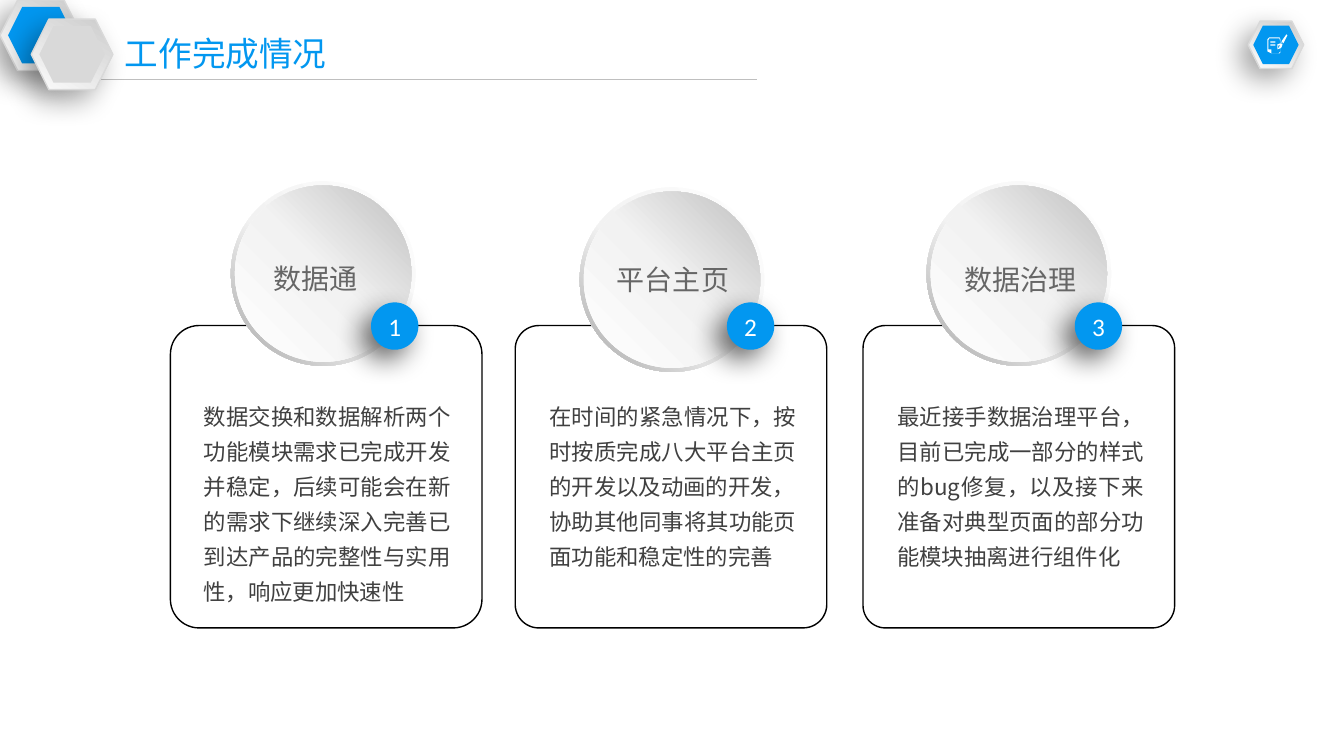
from dataclasses import dataclass
from typing import Any, Optional

from lxml import etree
from pptx import Presentation
from pptx.dml.color import RGBColor
from pptx.enum.shapes import MSO_CONNECTOR, MSO_SHAPE
from pptx.enum.text import MSO_ANCHOR, MSO_AUTO_SIZE, PP_ALIGN
from pptx.oxml.ns import qn
from pptx.util import Inches, Pt

HEXAGON, RECT, ROUNDED = MSO_SHAPE.HEXAGON, MSO_SHAPE.RECTANGLE, MSO_SHAPE.ROUNDED_RECTANGLE
OVAL, DONUT = MSO_SHAPE.OVAL, MSO_SHAPE.DONUT
STRAIGHT = MSO_CONNECTOR.STRAIGHT
CENTER, JUSTIFY, MIDDLE = PP_ALIGN.CENTER, PP_ALIGN.JUSTIFY, MSO_ANCHOR.MIDDLE
GROW = MSO_AUTO_SIZE.SHAPE_TO_FIT_TEXT

BLUE, WHITE, BLACK, SILVER = "0297F0", "FFFFFF", "000000", "D9D9D9"
CJK, LATIN = "Noto Sans CJK SC", "Calibri"


@dataclass(frozen=True)
class Gradient:
    stops: tuple[tuple[int, str], ...]
    angle: int  # clockwise, in degrees


@dataclass(frozen=True)
class Shadow:
    opacity: int
    direction: int
    blur: int = 20
    distance: int = 10


@dataclass(frozen=True)
class Hexagon:
    left: float
    top: float
    width: float
    height: float
    inset: float
    fill: str


@dataclass(frozen=True)
class Card:
    left: float
    corner: float
    disc: tuple[float, float]
    badge_left: float
    label_box: tuple[float, float, float, float]
    label: str
    text_left: float
    text_height: float
    paragraphs: tuple[str, ...]


HEX_RIM = Gradient(((0, "CCCCCC"), (100, "FCFCFC")), 120)
DISC_RIM = Gradient(((0, WHITE), (55, "F2F2F2"), (100, "A6A6A6")), 135)
DISC_FACE = Gradient(((0, WHITE), (51, "F2F2F2"), (100, "BFBFBF")), 315)
HEX_SHADOW, BADGE_SHADOW = Shadow(34, 136), Shadow(60, 135)

CORNER_HEXAGONS = (Hexagon(0, 0, 0.81, 0.7, 0.08, BLUE),
                   Hexagon(0.31, 0.19, 0.81, 0.7, 0.08, SILVER))
ICON_HEXAGON = Hexagon(12.38, 0.21, 0.55, 0.47, 0.05, BLUE)

# Note and pen icon outlines
ICON_OUTLINES = (
    ((12.76, 0.34), (12.71, 0.41), (12.73, 0.43), (12.77, 0.35)),
    ((12.7, 0.42), (12.71, 0.43), (12.72, 0.43), (12.71, 0.42)),
    ((12.7, 0.43), (12.67, 0.44), (12.67, 0.49), (12.68, 0.45), (12.7, 0.45),
     (12.69, 0.46), (12.67, 0.49), (12.7, 0.48), (12.71, 0.47), (12.72, 0.44)),
    ((12.7, 0.51), (12.68, 0.53), (12.61, 0.53), (12.61, 0.49), (12.58, 0.49),
     (12.58, 0.4), (12.59, 0.38), (12.69, 0.38), (12.7, 0.42), (12.7, 0.39),
     (12.69, 0.37), (12.59, 0.37), (12.57, 0.39), (12.57, 0.51), (12.61, 0.53),
     (12.69, 0.53), (12.7, 0.52), (12.7, 0.48)),
)
NOTE_LINES = (0.41, 0.42, 0.44, 0.45)

CARDS = (
    Card(1.69, 0.095, (2.29, 1.8), 3.68, (2.61, 2.55, 1.04, 0.44), "数据通", 2.02, 2.07,
         ("数据交换和数据解析两个功能模块需求已完成开发并稳定，后续可能会在新的需求下"
          "继续深入完善已到达产品的完整性与实用性，响应更加快速性",)),
    Card(5.11, 0.078, (5.75, 1.86), 7.21, (6.02, 2.56, 1.32, 0.44), "平台主页", 5.45, 1.72,
         ("在时间的紧急情况下，按时按质完成八大平台主页的开发以及动画的开发，",
          "协助其他同事将其功能页面功能和稳定性的完善")),
    Card(8.56, 0.074, (9.19, 1.8), 10.66, (9.47, 2.56, 1.37, 0.44), "数据治理", 8.9, 1.72,
         ("最近接手数据治理平台，目前已完成一部分的样式的bug修复，以及接下来准备对"
          "典型页面的部分功能模块抽离进行组件化",)),
)


def color(value: str) -> RGBColor:
    return RGBColor.from_string(value)


def child(parent: Any, tag: str, **values: Any) -> Any:
    return etree.SubElement(parent, qn(tag), {key: str(value) for key, value in values.items()})


def tint(parent: Any, value: str) -> Any:
    return child(parent, "a:srgbClr", val=value)


def paint(shape: Any, fill: Any = None, line: Optional[str] = None,
          shadow: Optional[Shadow] = None) -> None:
    """Set fill, outline and shadow."""
    shape.shadow.inherit = False
    if isinstance(fill, Gradient):
        shape.fill.gradient()
        shape.fill.gradient_angle = 360 - fill.angle
        stops = shape.element.spPr.find(".//" + qn("a:gsLst"))
        for old in list(stops):
            stops.remove(old)
        for position, value in fill.stops:
            tint(child(stops, "a:gs", pos=position * 1000), value)
    elif fill:
        shape.fill.solid()
        shape.fill.fore_color.rgb = color(fill)
    else:
        shape.fill.background()
    if line:
        shape.line.color.rgb = color(line)
        shape.line.width = Pt(1)
    else:
        shape.line.fill.background()
    if shadow:
        outer = child(shape.element.spPr.find(qn("a:effectLst")), "a:outerShdw",
                      blurRad=Pt(shadow.blur), dist=Pt(shadow.distance),
                      dir=shadow.direction * 60000, algn="ctr", rotWithShape=0)
        child(tint(outer, BLACK), "a:alpha", val=shadow.opacity * 1000)


def add_shape(shapes: Any, kind: Any, box: tuple[float, ...], adjust: Optional[float] = None,
              **style: Any) -> Any:
    shape = shapes.add_shape(kind, *map(Inches, box))
    if adjust is not None:
        shape.adjustments[0] = adjust
    paint(shape, **style)
    return shape


def write(shape: Any, paragraphs: tuple[str, ...], size: int, value: str, font: str = CJK,
          frame_format: Optional[dict] = None, para_format: Optional[dict] = None) -> None:
    frame = shape.text_frame
    for name, setting in (frame_format or {}).items():
        setattr(frame, name, setting)
    for index, text in enumerate(paragraphs):
        para = frame.add_paragraph() if index else frame.paragraphs[0]
        for name, setting in (para_format or {}).items():
            setattr(para, name, setting)
        span = para.add_run()
        span.text = text
        for name, setting in {"size": Pt(size), "name": font}.items():
            setattr(span.font, name, setting)
        span.font.color.rgb = color(value)
        child(span.font._element, "a:ea", typeface=font)


def add_hexagon(shapes: Any, item: Hexagon) -> None:
    gap = item.inset
    add_shape(shapes, HEXAGON, (item.left, item.top, item.width, item.height),
              fill=HEX_RIM, line=SILVER, shadow=HEX_SHADOW)
    add_shape(shapes, HEXAGON, (item.left + gap, item.top + gap * 0.87,
                                item.width - 2 * gap, item.height - 1.74 * gap), fill=item.fill)


def add_icon(shapes: Any) -> None:
    add_hexagon(shapes, ICON_HEXAGON)
    for outline in ICON_OUTLINES:
        start, *rest = [(Inches(x), Inches(y)) for x, y in outline]
        builder = shapes.build_freeform(*start)
        builder.add_line_segments(rest)
        paint(builder.convert_to_shape(), fill=WHITE)
    for top in NOTE_LINES:
        add_shape(shapes, RECT, (12.6, top, 0.05, 0.005), fill=WHITE)


def add_card(shapes: Any, number: int, card: Card) -> None:
    add_shape(shapes, ROUNDED, (card.left, 3.23, 3.09, 3), card.corner, line=BLACK)

    # Disc with its label and number
    group = shapes.add_group_shape().shapes
    left, top = card.disc
    add_shape(group, DONUT, (left, top, 1.83, 1.83), 0.049, fill=DISC_RIM)
    add_shape(group, OVAL, (left + 0.04, top + 0.04, 1.75, 1.75), fill=DISC_FACE)
    badge = add_shape(group, OVAL, (card.badge_left, 3, 0.47, 0.47),
                      fill=BLUE, shadow=BADGE_SHADOW)
    write(badge, (str(number),), 18, WHITE, LATIN, {"vertical_anchor": MIDDLE},
          {"alignment": CENTER})
    label = group.add_textbox(*map(Inches, card.label_box))
    write(label, (card.label,), 20, "666666", frame_format={"word_wrap": False, "auto_size": GROW})

    # Description
    margins = {f"margin_{side}": 0 for side in ("left", "top", "right", "bottom")}
    body = shapes.add_textbox(*map(Inches, (card.text_left, 3.92, 2.45, card.text_height)))
    write(body, card.paragraphs, 16, "404040",
          frame_format={"word_wrap": True, "auto_size": GROW, **margins},
          para_format={"alignment": JUSTIFY, "line_spacing": 1.3})


def main() -> None:
    deck = Presentation()
    deck.slide_width, deck.slide_height = Inches(13.33), Inches(7.5)
    page = deck.slides.add_slide(deck.slide_layouts[6])
    shapes = page.shapes

    # Header
    rule = shapes.add_connector(STRAIGHT, *map(Inches, (0.81, 0.79, 7.51, 0.79)))
    rule.line.color.rgb = color("BFBFBF")
    rule.line.width = Pt(1)
    child(rule._element.spPr, "a:effectLst")
    corner = shapes.add_group_shape().shapes
    for item in CORNER_HEXAGONS:
        add_hexagon(corner, item)
    title = shapes.add_textbox(*map(Inches, (1.14, 0.28, 2.68, 0.5)))
    write(title, ("工作完成情况",), 24, BLUE, frame_format={"word_wrap": True, "auto_size": GROW})
    add_icon(shapes.add_group_shape().shapes)

    # Cards
    for number, card in enumerate(CARDS, 1):
        add_card(shapes, number, card)

    deck.save("out.pptx")


if __name__ == "__main__":
    main()
